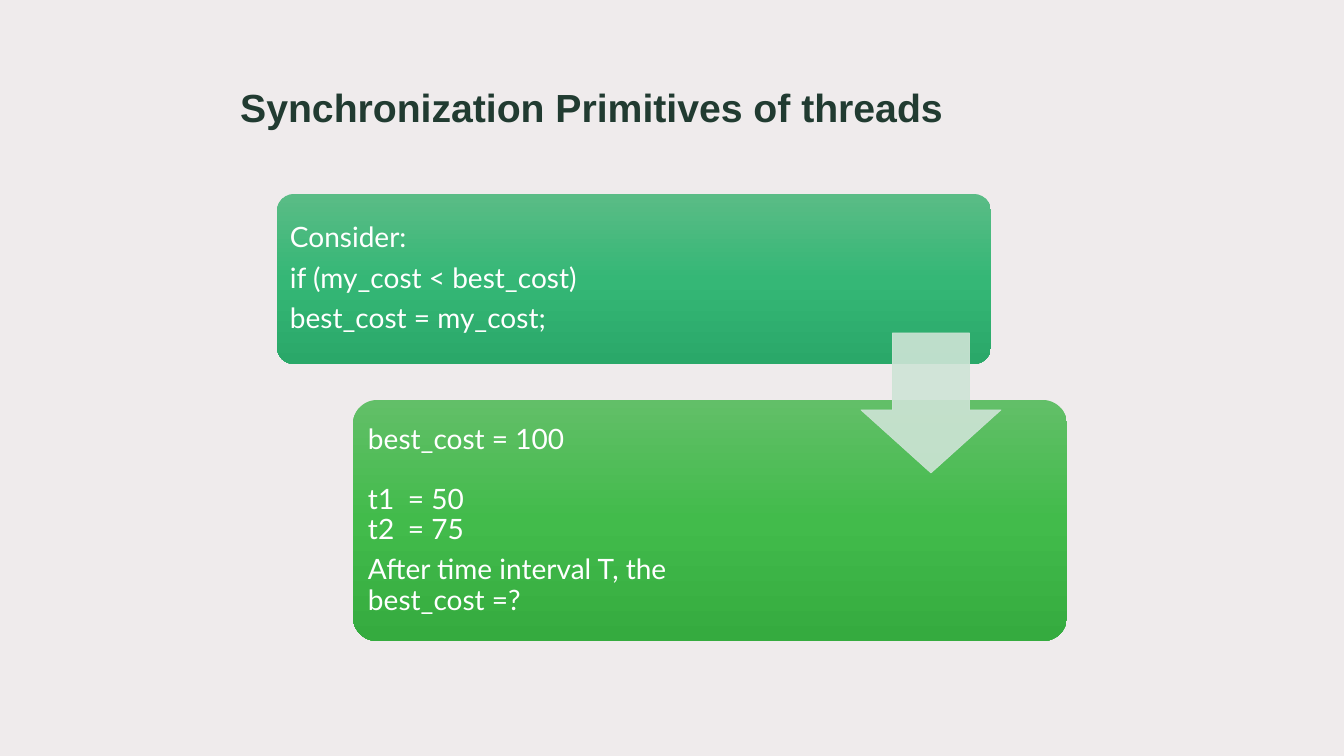
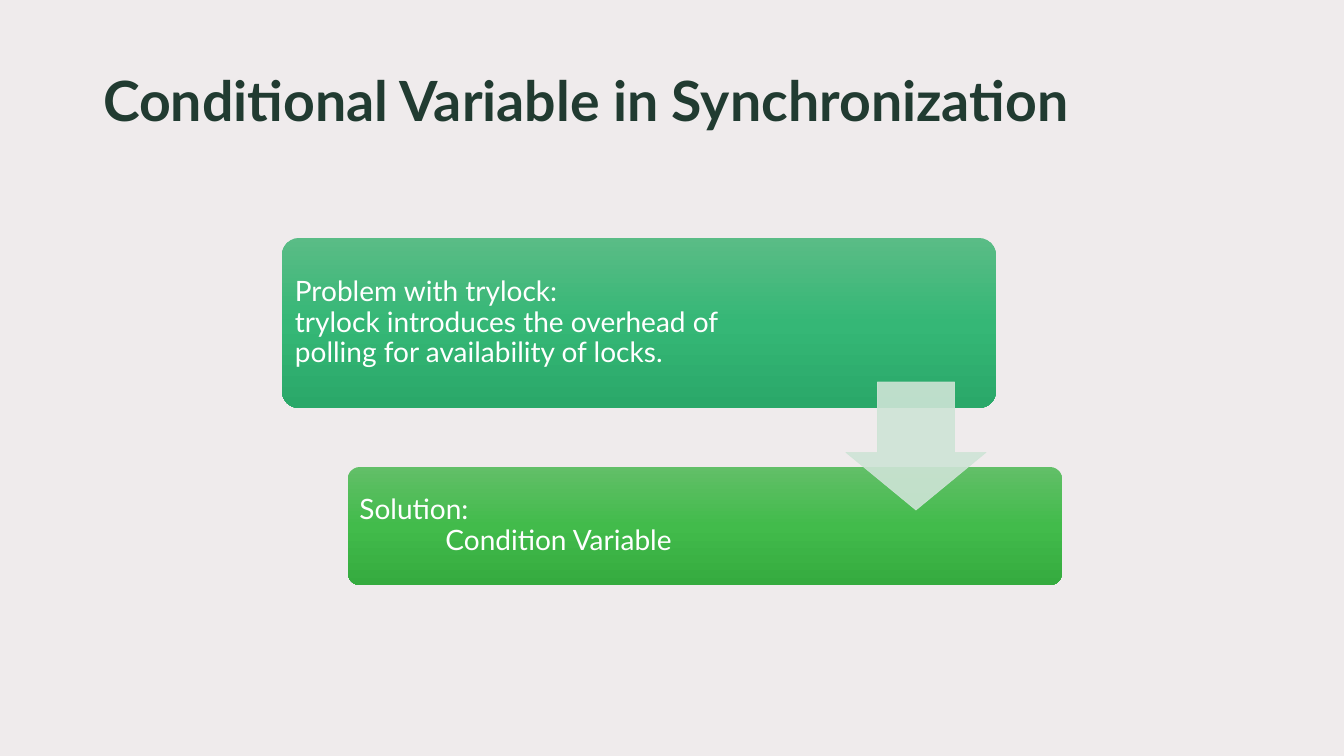
from copy import deepcopy
from pptx import Presentation
from pptx.dml.color import RGBColor
from pptx.enum.shapes import MSO_SHAPE as SHAPE
from pptx.enum.text import MSO_ANCHOR as ANCHOR, PP_ALIGN as ALIGN
from pptx.oxml.ns import qn
from pptx.oxml.xmlchemy import OxmlElement
from pptx.util import Pt

PX = 914400 / 100.8
COLORS = {"paper": "EFEBEC", "title": "213B31", "text": "FFFFFF", "arrow": "CEE4D6"}
GRADIENTS = [("5ABC86", "35B776", "2AA869"), ("62BF68", "42BB4B", "35AB3F")]
WRAP_MARGINS = [218, 273]
CARD_WIDTH = 714
ARROW_WIDTH = 140


def px(*lengths):
    return [round(length * PX) for length in lengths]


def write(frame, paragraphs, size=20, color="text", font="Lato", bold=False,
          align=ALIGN.LEFT, anchor=ANCHOR.MIDDLE, spacing=0.9, after=7):
    frame.word_wrap = True
    frame.vertical_anchor = anchor
    for index, (words, options) in enumerate(paragraphs):
        paragraph = frame.paragraphs[0] if index == 0 else frame.add_paragraph()
        paragraph.text = words
        properties = paragraph._p.get_or_add_pPr()
        if "tab" in options:
            tabs = OxmlElement("a:tabLst")
            stop = OxmlElement("a:tab")
            stop.set("pos", str(px(options["tab"])[0]))
            stop.set("algn", "l")
            tabs.append(stop)
            properties.append(tabs)
        if "indent" in options:
            properties.set("marL", str(px(options["indent"])[0]))
        paragraph.alignment = align
        paragraph.line_spacing = spacing
        paragraph.space_before = Pt(0)
        paragraph.space_after = Pt(options.get("after", after))
        for run in paragraph.runs:
            run.font.name = font
            run.font.size = Pt(size)
            run.font.bold = bold
            run.font.color.rgb = RGBColor.from_string(COLORS[color])


SLIDES = [
    {
        "title": "Synchronization Primitives of threads",
        "title_box": (187, 23, 809, 173),
        "title_format": {"size": 28, "font": "Arial", "align": ALIGN.CENTER},
        "cards": [
            (277, 194, 170, [("Consider:", {}),
                             ("if (my_cost < best_cost)", {}),
                             ("best_cost = my_cost;", {})]),
            (353, 400, 241, [("best_cost = 100", {"after": 21.6}),
                             ("t1\t= 50\vt2\t= 75", {"tab": 40}),
                             ("After time interval T, the best_cost =?", {})]),
        ],
        "arrow": (861, 333, 140),
    },
    {
        "title": "Conditional Variable in Synchronization",
        "title_box": (93, 61, 1141, 141),
        "title_format": {"size": 39.6, "anchor": ANCHOR.TOP, "spacing": 1.0},
        "cards": [
            (282, 238, 170, [("Problem with trylock:\vtrylock introduces the overhead of "
                              "polling for availability of locks.", {})]),
            (348, 467, 118, [("Solution:", {"after": 0}),
                             ("Condition Variable", {"indent": 86})]),
        ],
        "arrow": (846, 382, 128),
    },
]

deck = Presentation()
deck.slide_width, deck.slide_height = px(1344, 756)
paper = deck.slide_master.background.fill
paper.solid()
paper.fore_color.rgb = RGBColor.from_string(COLORS["paper"])

for content in SLIDES:
    slide = deck.slides.add_slide(deck.slide_layouts[5])
    title = slide.shapes.title
    title.left, title.top, title.width, title.height = px(*content["title_box"])
    write(title.text_frame, [(content["title"], {})], color="title", bold=True,
          after=0, **content["title_format"])

    for (left, top, height, paragraphs), gradient, wrap_margin in zip(
            content["cards"], GRADIENTS, WRAP_MARGINS):
        card = slide.shapes.add_shape(
            SHAPE.ROUNDED_RECTANGLE, *px(left, top, CARD_WIDTH, height))
        card.adjustments[0] = 0.1
        card.shadow.inherit = False
        card.line.fill.background()
        card.fill.gradient()
        card.fill.gradient_angle = 270
        stops = card._element.spPr.find(".//" + qn("a:gsLst"))
        stops.append(deepcopy(stops[0]))
        for stop, shade, position in zip(card.fill.gradient_stops, gradient, (0, 0.5, 1)):
            stop.color.rgb = RGBColor.from_string(shade)
            stop.position = position
        frame = card.text_frame
        frame.margin_left, frame.margin_right = px(8, wrap_margin)
        frame.margin_top, frame.margin_bottom = px(8, 8)
        write(frame, paragraphs)

    left, top, height = content["arrow"]
    arrow = slide.shapes.add_shape(SHAPE.DOWN_ARROW, *px(left, top, ARROW_WIDTH, height))
    arrow.adjustments[0] = 0.55
    arrow.adjustments[1] = 0.45
    arrow.shadow.inherit = False
    arrow.line.width = Pt(0.5)
    for paint in (arrow.fill, arrow.line.fill):
        paint.solid()
        paint.fore_color.rgb = RGBColor.from_string(COLORS["arrow"])
    for color in arrow._element.spPr.iter(qn("a:srgbClr")):
        alpha = OxmlElement("a:alpha")
        alpha.set("val", "90000")
        color.append(alpha)

deck.save("out.pptx")
